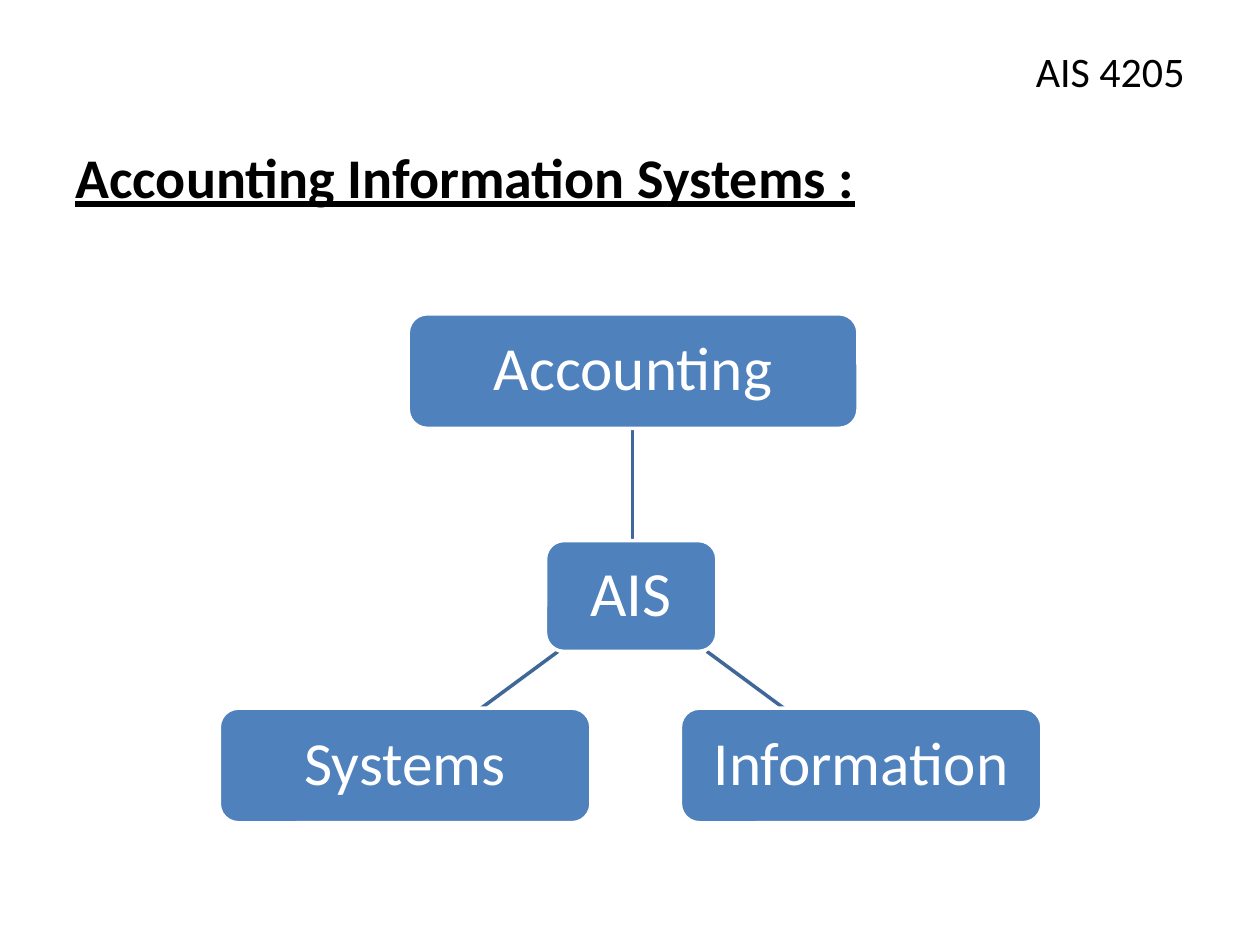
"""Build the Accounting Information Systems slide."""
from dataclasses import dataclass

from lxml import etree
from pptx import Presentation
from pptx.dml.color import RGBColor
from pptx.enum.shapes import MSO_CONNECTOR, MSO_SHAPE
from pptx.enum.text import MSO_ANCHOR, PP_ALIGN
from pptx.oxml.ns import qn
from pptx.util import Pt

EMU_PER_PX = 9144
FONT = "Calibri"
BLACK, WHITE, BLUE, DARK_BLUE = "000000", "FFFFFF", "4F81BD", "3F6797"
STRAIGHT = MSO_CONNECTOR.STRAIGHT
ROUNDED = MSO_SHAPE.ROUNDED_RECTANGLE
TOP, MIDDLE = MSO_ANCHOR.TOP, MSO_ANCHOR.MIDDLE
LEFT, CENTER, RIGHT = PP_ALIGN.LEFT, PP_ALIGN.CENTER, PP_ALIGN.RIGHT


@dataclass(frozen=True)
class Heading:
    """A heading line in a text box."""
    text: str
    top: int
    height: int
    size: int
    align: PP_ALIGN
    anchor: MSO_ANCHOR
    strong: bool


@dataclass(frozen=True)
class Node:
    """A labelled box of the diagram."""
    text: str
    left: int
    top: int
    width: int
    height: int
    size: int


@dataclass(frozen=True)
class Link:
    """A line between two points."""
    start: tuple[int, int]
    end: tuple[int, int]


HEADINGS = (
    Heading("AIS 4205", 30, 53, 24, RIGHT, MIDDLE, False),
    Heading("Accounting Information Systems :", 108, 562, 32, LEFT, TOP, True),
)
NODES = (
    Node("AIS", 433, 429, 136, 88, 36),
    Node("Accounting", 324, 249, 357, 91, 35),
    Node("Information", 540, 562, 287, 91, 35),
    Node("Systems", 174, 562, 295, 91, 35),
)
LINKS = (
    Link((502, 429), (502, 340)),
    Link((561, 517), (622, 562)),
    Link((443, 517), (382, 562)),
)


def px(length: int) -> int:
    """Turn px into EMU."""
    return length * EMU_PER_PX


def color(value: str) -> RGBColor:
    """Turn a hex string into a colour."""
    return RGBColor.from_string(value)


def add_span(para, text: str, size: int, fill: str, strong: bool = False) -> None:
    """Add one styled run to a paragraph."""
    span = para.add_run()
    span.text = text
    span.font.name = FONT
    span.font.size = Pt(size)
    span.font.color.rgb = color(fill)
    span.font.bold = strong
    span.font.underline = strong


def draw_heading(page, heading: Heading) -> None:
    """Draw a heading across the page."""
    box = page.shapes.add_textbox(px(50), px(heading.top), px(900), px(heading.height))
    frame = box.text_frame
    frame.word_wrap = True
    frame.vertical_anchor = heading.anchor
    para = frame.paragraphs[0]
    para.alignment = heading.align
    add_span(para, heading.text, heading.size, BLACK, heading.strong)


def draw_node(page, node: Node) -> None:
    """Draw a rounded box with its label."""
    box = page.shapes.add_shape(
        ROUNDED, px(node.left), px(node.top), px(node.width), px(node.height))
    box.shadow.inherit = False
    box.fill.solid()
    box.fill.fore_color.rgb = color(BLUE)
    box.line.color.rgb = color(WHITE)
    box.line.width = Pt(2)
    frame = box.text_frame
    frame.word_wrap = True
    frame.vertical_anchor = MIDDLE
    frame.margin_left = frame.margin_right = px(10)
    frame.margin_top = frame.margin_bottom = px(10)
    para = frame.paragraphs[0]
    para.alignment = CENTER
    para.line_spacing = 0.9
    add_span(para, node.text, node.size, WHITE)


def draw_link(page, link: Link) -> None:
    """Draw a plain line between two boxes."""
    line = page.shapes.add_connector(
        STRAIGHT, *(px(value) for value in link.start + link.end))
    line.line.color.rgb = color(DARK_BLUE)
    line.line.width = Pt(2)
    etree.SubElement(line._element.spPr, qn("a:effectLst"))


def main() -> None:
    """Build and save the deck."""
    deck = Presentation()
    deck.slide_width, deck.slide_height = px(1000), px(750)
    page = deck.slides.add_slide(deck.slide_layouts[6])
    for heading in HEADINGS:
        draw_heading(page, heading)
    for link in LINKS:
        draw_link(page, link)
    for node in NODES:
        draw_node(page, node)
    deck.save("out.pptx")


if __name__ == "__main__":
    main()
